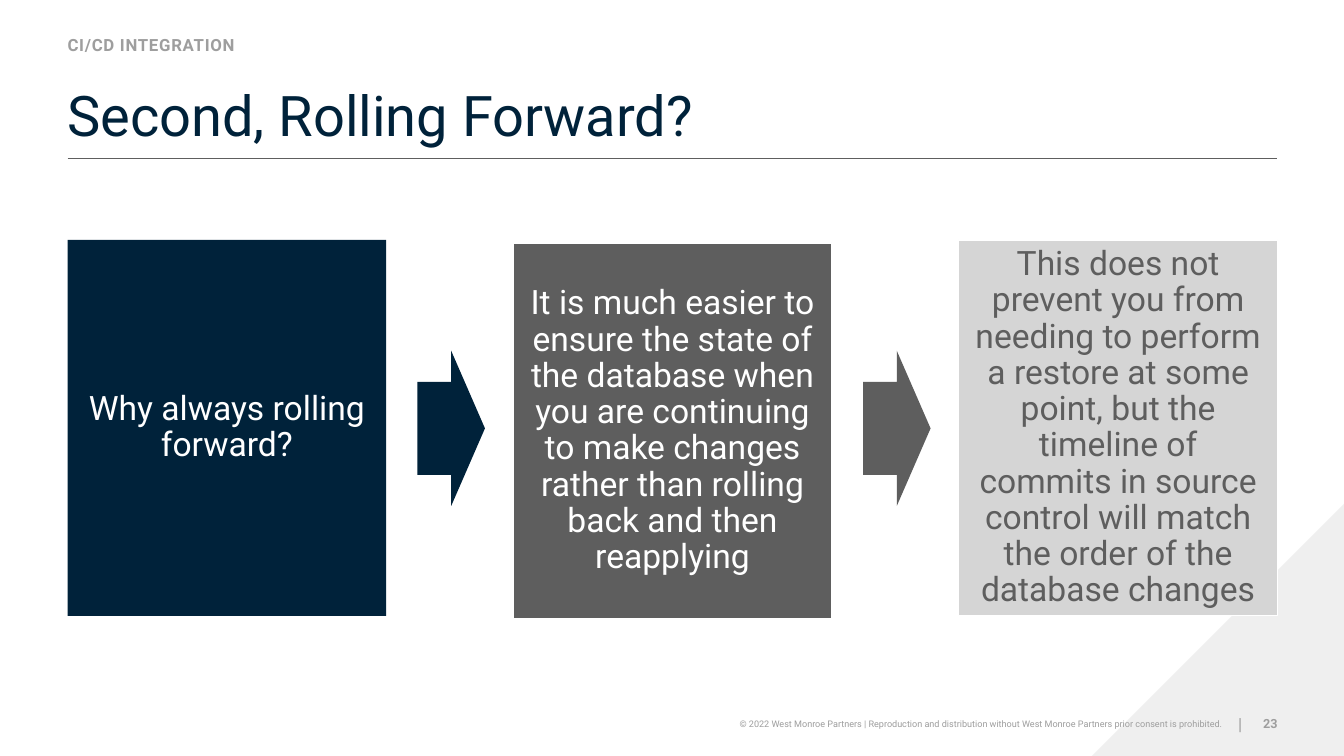
from dataclasses import dataclass

from lxml.etree import SubElement
from pptx import Presentation
from pptx.dml.color import RGBColor
from pptx.enum.shapes import MSO_CONNECTOR, MSO_SHAPE
from pptx.enum.text import MSO_ANCHOR, PP_ALIGN
from pptx.oxml.ns import qn
from pptx.shapes.autoshape import Shape
from pptx.slide import Slide
from pptx.util import Emu, Pt

EMU_PER_PX = 9144
FONT = "Roboto"
NAVY = "00223A"
DARK_GRAY = "5E5E5E"
MID_GRAY = "9E9E9E"
LIGHT_GRAY = "D5D5D5"
CORNER_GRAY = "EFEFEF"
WHITE = "FFFFFF"

MARGIN = 67
STEP_PITCH = 442
STEP_WIDTH = 316
STEP_HEIGHT = 373
ARROW_OFFSET = 347
ARROW_TOP = 348
ARROW_WIDTH = 67
ARROW_HEIGHT = 154
FOOTER_TOP = 698


@dataclass(frozen=True)
class Label:
    """A line of text in its own box."""

    text: str
    left: int
    top: int
    width: int
    height: int
    size: float
    color: str = MID_GRAY
    bold: bool = False
    align: PP_ALIGN = PP_ALIGN.LEFT
    anchor: MSO_ANCHOR = MSO_ANCHOR.MIDDLE
    spacing: int = 0


@dataclass(frozen=True)
class Step:
    """A box of the process."""

    text: str
    top: int
    fill: str
    text_color: str
    outlined: bool = True


LABELS = [
    Label("CI/CD INTEGRATION", MARGIN, 24, 500, 40, 12, bold=True, spacing=50),
    Label("Second, Rolling Forward?", MARGIN, 67, 1200, 80, 40, NAVY,
          anchor=MSO_ANCHOR.BOTTOM),
    Label("|", 1219, FOOTER_TOP, 22, 40, 12, align=PP_ALIGN.CENTER),
    Label("© 2022 West Monroe Partners | Reproduction and distribution without "
          "West Monroe Partners prior consent is prohibited.",
          705, FOOTER_TOP, 508, 40, 6.5, align=PP_ALIGN.RIGHT),
    Label("23", 1219, FOOTER_TOP, 48, 40, 9, bold=True, align=PP_ALIGN.RIGHT),
]

STEPS = [
    Step("Why always rolling forward?", 238, NAVY, WHITE, outlined=False),
    Step("It is much easier to ensure the state of the database when you are "
         "continuing to make changes rather than rolling back and then reapplying",
         241, DARK_GRAY, WHITE),
    Step("This does not prevent you from needing to perform a restore at some "
         "point, but the timeline of commits in source control will match the "
         "order of the database changes", 238, LIGHT_GRAY, DARK_GRAY),
]


def px(length: int) -> Emu:
    """Turn pixels into EMU."""
    return Emu(length * EMU_PER_PX)


def rgb(color: str) -> RGBColor:
    """Turn a hex string into a colour."""
    return RGBColor.from_string(color)


def write_text(shape: Shape, text: str, size: float, color: str, align: PP_ALIGN,
               anchor: MSO_ANCHOR, inset: int = 0, bold: bool = False) -> None:
    """Fill a shape with one formatted paragraph."""
    frame = shape.text_frame
    frame.text = text
    frame.word_wrap = True
    frame.vertical_anchor = anchor
    frame.margin_left = frame.margin_right = px(inset)
    frame.margin_top = frame.margin_bottom = px(inset)
    paragraph = frame.paragraphs[0]
    paragraph.alignment = align
    font = paragraph.runs[0].font
    font.name = FONT
    font.size = Pt(size)
    font.bold = bold
    font.color.rgb = rgb(color)


def add_filled_shape(slide: Slide, kind: MSO_SHAPE, left: int, top: int,
                     width: int, height: int, fill: str) -> Shape:
    """Add a flat preset shape without an outline."""
    shape = slide.shapes.add_shape(kind, px(left), px(top), px(width), px(height))
    shape.shadow.inherit = False
    shape.fill.solid()
    shape.fill.fore_color.rgb = rgb(fill)
    shape.line.fill.background()
    return shape


def add_label(slide: Slide, label: Label) -> None:
    """Add a text box."""
    shape = slide.shapes.add_textbox(px(label.left), px(label.top),
                                     px(label.width), px(label.height))
    write_text(shape, label.text, label.size, label.color, label.align,
               label.anchor, bold=label.bold)
    if label.spacing:
        run = shape.text_frame.paragraphs[0].runs[0]
        run.font._element.set("spc", str(label.spacing))


def add_step(slide: Slide, step: Step, left: int) -> None:
    """Add a process box."""
    shape = add_filled_shape(slide, MSO_SHAPE.RECTANGLE, left, step.top,
                             STEP_WIDTH, STEP_HEIGHT, step.fill)
    if step.outlined:
        shape.line.color.rgb = rgb(WHITE)
        shape.line.width = Pt(1)
    write_text(shape, step.text, 24, step.text_color, PP_ALIGN.CENTER,
               MSO_ANCHOR.MIDDLE, inset=12)
    shape.text_frame.paragraphs[0].line_spacing = 0.9


def add_arrow(slide: Slide, left: int, fill: str) -> None:
    """Add the block arrow that leads to the next step."""
    arrow = add_filled_shape(slide, MSO_SHAPE.RIGHT_ARROW, left, ARROW_TOP,
                             ARROW_WIDTH, ARROW_HEIGHT, fill)
    arrow.adjustments[0] = 0.6
    arrow.adjustments[1] = 0.5


def add_background(slide: Slide) -> None:
    """Add the corner triangle and the rule below the title."""
    corner = add_filled_shape(slide, MSO_SHAPE.RIGHT_TRIANGLE, 1083, 500, 250, 250,
                              CORNER_GRAY)
    corner._element.spPr.find(qn("a:xfrm")).set("flipH", "1")
    rule = slide.shapes.add_connector(MSO_CONNECTOR.STRAIGHT, px(MARGIN), px(157),
                                      px(1267), px(157))
    rule.line.color.rgb = rgb(DARK_GRAY)
    rule.line.width = Pt(0.3)
    SubElement(rule._element.spPr, qn("a:effectLst"))


def main() -> None:
    """Build and save the slide."""
    presentation = Presentation()
    presentation.slide_width = px(1333)
    presentation.slide_height = px(750)
    slide = presentation.slides.add_slide(presentation.slide_layouts[6])
    add_background(slide)
    for label in LABELS:
        add_label(slide, label)
    for index, step in enumerate(STEPS):
        left = MARGIN + index * STEP_PITCH
        add_step(slide, step, left)
        if index < len(STEPS) - 1:
            add_arrow(slide, left + ARROW_OFFSET, step.fill)
    presentation.save("out.pptx")


if __name__ == "__main__":
    main()
